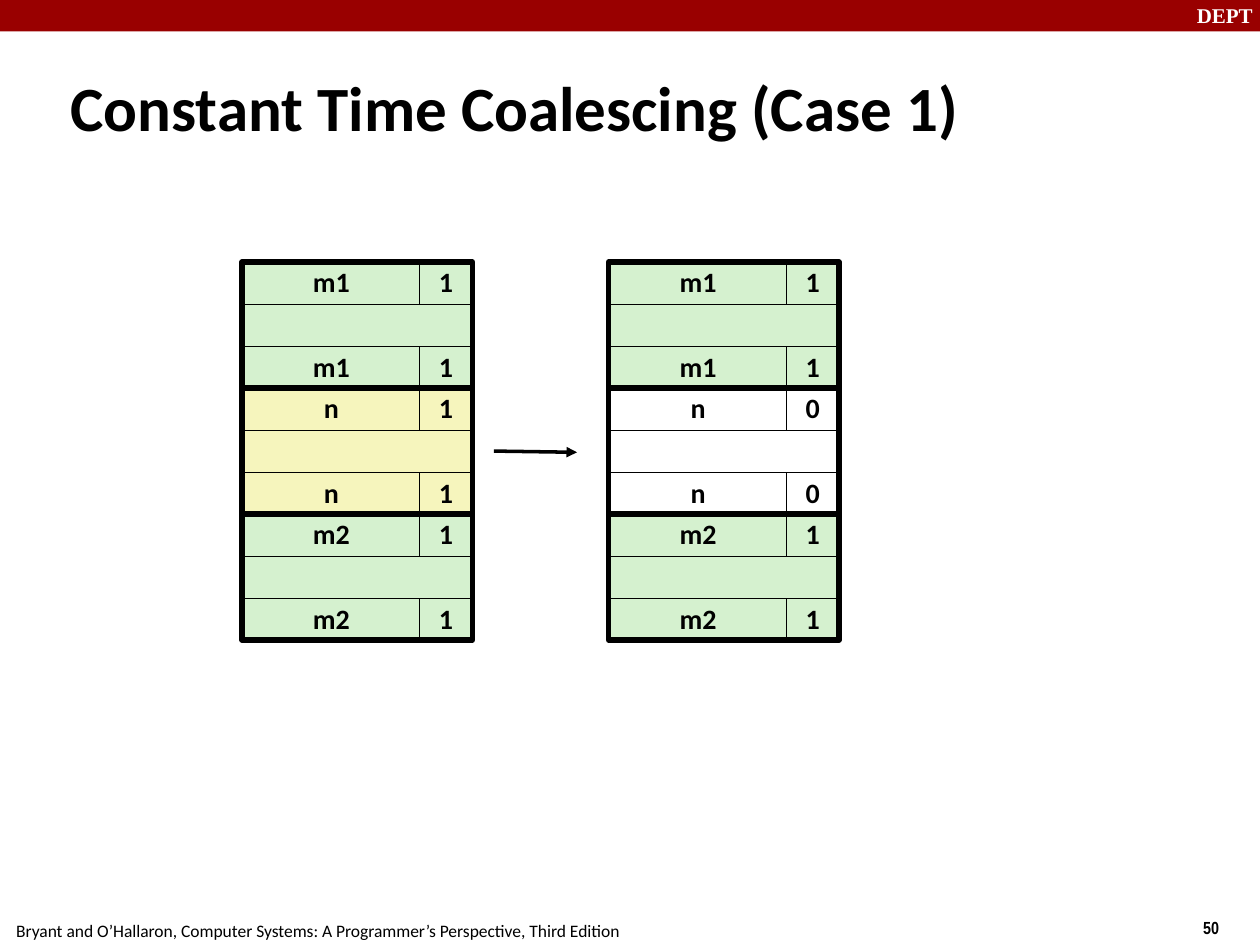
from lxml import etree
from pptx import Presentation
from pptx.dml.color import RGBColor
from pptx.enum import shapes, text
from pptx.oxml import ns
from pptx.util import Inches, Pt

BLACK, WHITE, RED = "000000", "FFFFFF", "990000"
GREEN, YELLOW = "D5F1CF", "F6F5BD"


def add_text(frame, words, size, font="Calibri", color=BLACK, bold=True):
    para = frame.paragraphs[0]
    span = para.add_run()
    span.text = words
    span.font.size = Pt(size)
    span.font.name = font
    span.font.bold = bold
    span.font.color.rgb = RGBColor.from_string(color)
    return para


def add_box(left, top, width, height, fill=None, line=None, words=""):
    box = slide.shapes.add_shape(shapes.MSO_SHAPE.RECTANGLE, Inches(left), Inches(top),
                                 Inches(width), Inches(height))
    box.shadow.inherit = False
    if fill:
        box.fill.solid()
        box.fill.fore_color.rgb = RGBColor.from_string(fill)
    else:
        box.fill.background()
    if line:
        box.line.color.rgb = RGBColor.from_string(BLACK)
        box.line.width = Pt(line)
    else:
        box.line.fill.background()
    if words:
        box.text_frame.word_wrap = False
        box.text_frame.vertical_anchor = text.MSO_ANCHOR.MIDDLE
        para = add_text(box.text_frame, words, 16)
        para.alignment = text.PP_ALIGN.CENTER
        para.line_spacing = 0.98


deck = Presentation()
deck.slide_width, deck.slide_height = Inches(10), Inches(7.5)
slide = deck.slides.add_slide(deck.slide_layouts[5])

# Title
title = slide.shapes.title
title.left, title.top = Inches(0.46), Inches(0.53)
title.width, title.height = Inches(9.08), Inches(0.63)
title.text_frame.auto_size = text.MSO_AUTO_SIZE.NONE
title.text_frame.vertical_anchor = text.MSO_ANCHOR.MIDDLE
para = add_text(title.text_frame, "Constant Time Coalescing (Case 1)", 36)
para.alignment = text.PP_ALIGN.LEFT

# Header bar, page number and footer
add_box(0, 0, 10, 0.25, RED)
for left, top, width, height, wrap, words, size, font, color, bold in [
    (9.4, -0.03, 0.67, 0.3, True, "DEPT", 12, "Times New Roman", WHITE, True),
    (9.45, 7.23, 0.75, 0.29, False, "50", 10, "Arial Narrow", BLACK, True),
    (0.03, 7.25, 4.99, 0.27, False,
     "Bryant and O’Hallaron, Computer Systems: A Programmer’s Perspective, Third Edition",
     10, "Calibri", BLACK, False),
]:
    label = slide.shapes.add_textbox(Inches(left), Inches(top), Inches(width), Inches(height))
    label.text_frame.word_wrap = wrap
    add_text(label.text_frame, words, size, font, color, bold)

# Memory before and after: three blocks, each with header, payload and footer
block_top, block_height, row_height = 2.08, 1, 1 / 3
size_width, flag_width = 1.42, 0.42
block_width = 1.83
before = [("m1", "1", GREEN), ("n", "1", YELLOW), ("m2", "1", GREEN)]
after = [("m1", "1", GREEN), ("n", "0", WHITE), ("m2", "1", GREEN)]
for left, blocks in [(1.92, before), (4.83, after)]:
    for index, (size, flag, fill) in enumerate(blocks):
        top = block_top + index * block_height
        add_box(left, top + row_height, block_width, row_height, fill, 0.26)
        for tag_top in (top, top + 2 * row_height):
            add_box(left, tag_top, size_width, row_height, fill, 0.26, size)
            add_box(left + block_width - flag_width, tag_top, flag_width, row_height,
                    fill, 0.26, flag)
        add_box(left, top, block_width, block_height, line=3)

# Arrow from before to after
arrow = slide.shapes.add_connector(shapes.MSO_CONNECTOR.STRAIGHT, Inches(3.92), Inches(3.58),
                                   Inches(4.58), Inches(3.59))
arrow.line.color.rgb = RGBColor.from_string(BLACK)
arrow.line.width = Pt(2)
properties = arrow.element.spPr
etree.SubElement(properties.find(ns.qn("a:ln")), ns.qn("a:tailEnd"), type="triangle")
etree.SubElement(properties, ns.qn("a:effectLst"))

deck.save("out.pptx")
